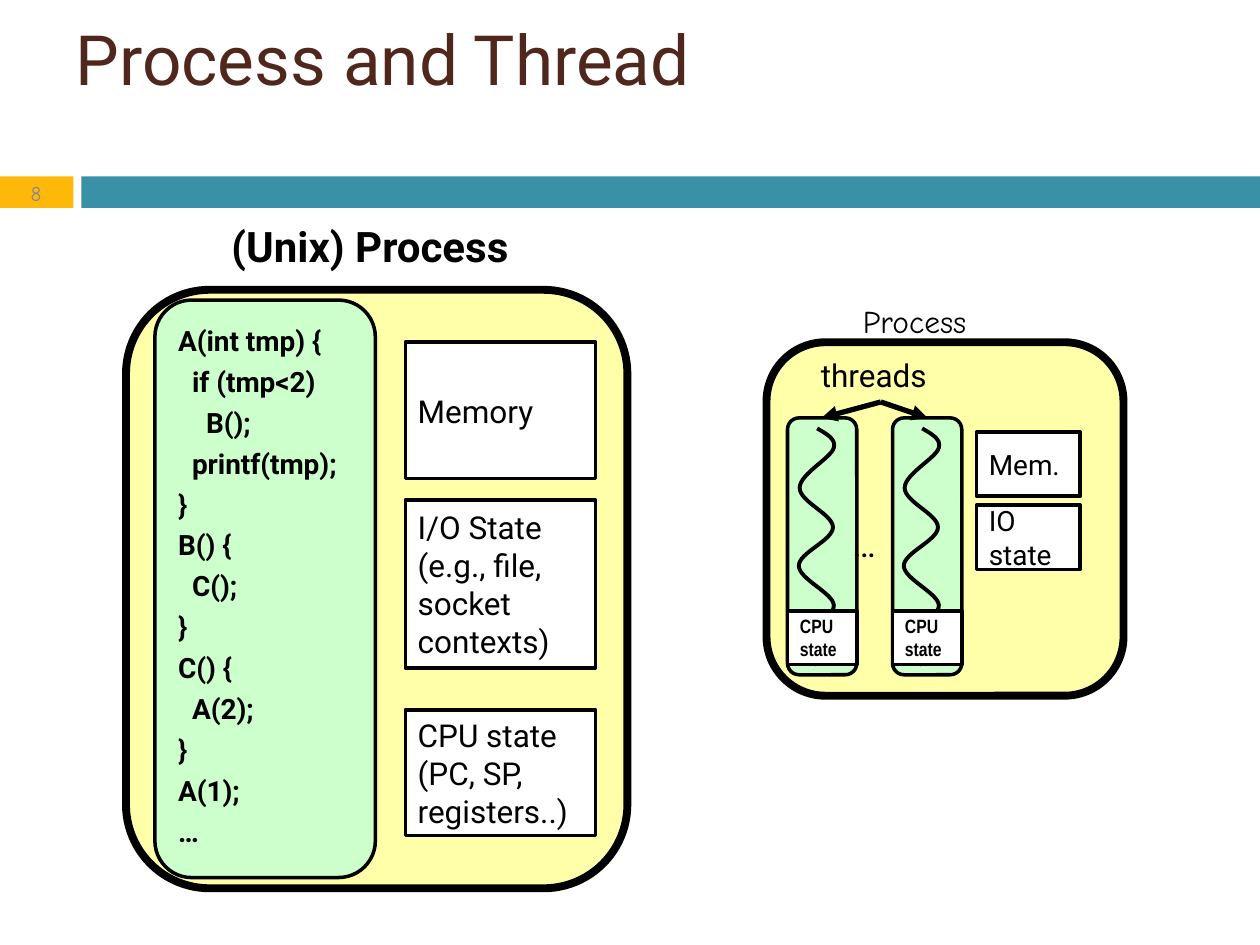
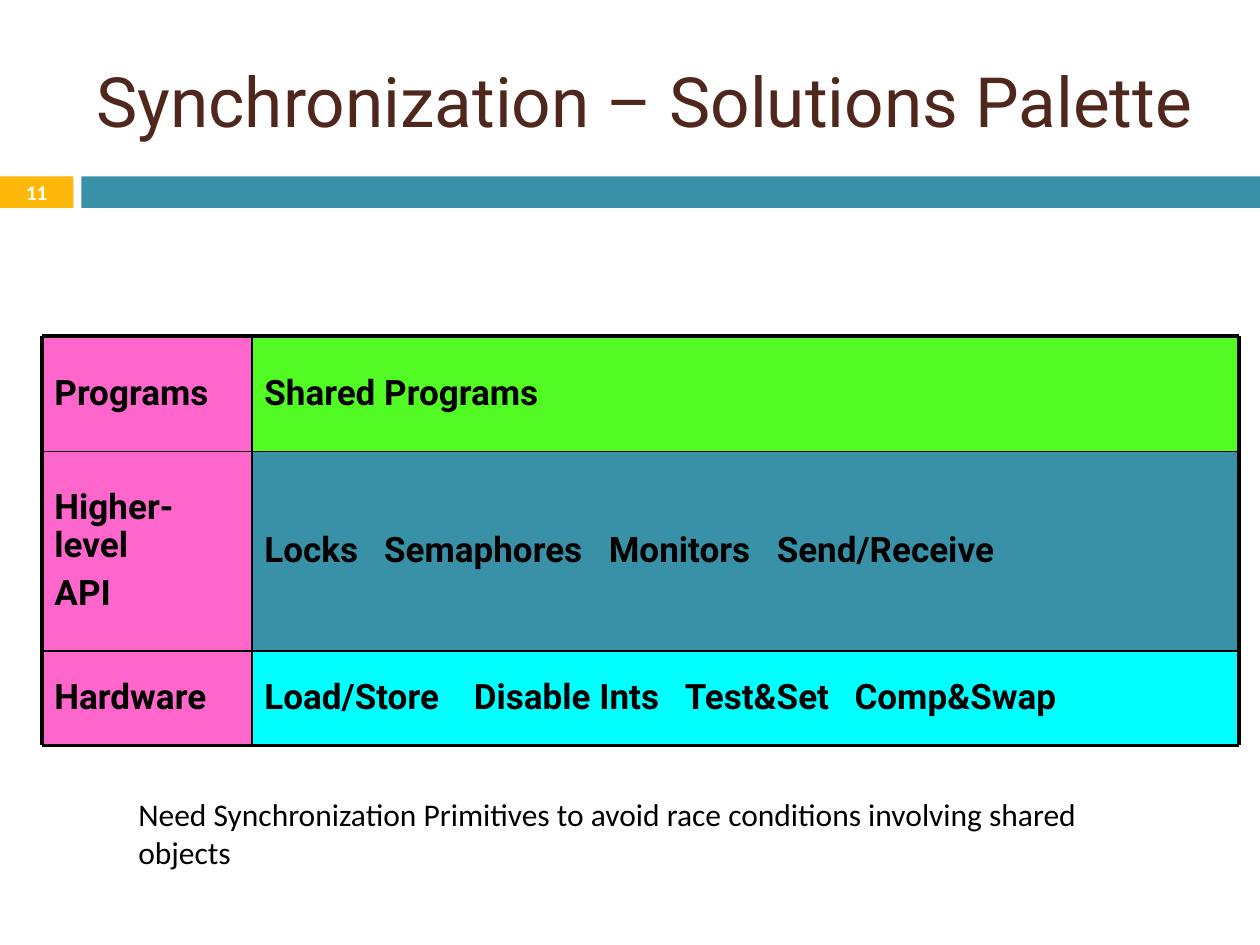
"""Build two slides on processes, threads and synchronization."""
import itertools

import pptx
import pptx.dml.color
import pptx.enum.shapes
import pptx.enum.text
import pptx.oxml.ns
import pptx.util

Pt = pptx.util.Pt
qn = pptx.oxml.ns.qn
SHAPE = pptx.enum.shapes.MSO_SHAPE
ALIGN = pptx.enum.text.PP_ALIGN
ANCHOR = pptx.enum.text.MSO_ANCHOR

COLORS = {
    "title": "4F271C", "number_band": "FEB80A", "title_band": "3891A7",
    "process": "FFFFAA", "thread": "CCFFCC", "white": "FFFFFF",
    "black": "000000", "page_number": "898989", "layer": "FF66CC",
    "programs": "53FB25", "api": "3891A7", "hardware": "00FFFF",
}
CODE = [
    (0, "A(int tmp) {"), (1, "if (tmp<2)"), (2, "B();"),
    (1, "printf(tmp);"), (0, "}"), (0, "B() {"), (1, "C();"), (0, "}"),
    (0, "C() {"), (1, "A(2);"), (0, "}"), (0, "A(1);"), (0, "…"),
]
CODE_INDENT = 8
RESOURCES = [
    (195.6, 78, ["Memory"]),
    (285.6, 96, ["I/O State", "(e.g., file, socket contexts)"]),
    (405.6, 72, ["CPU state (PC, SP, registers..)"]),
]
THREAD_TOP = 238.8
THREAD_LEFTS = (450, 510)
SQUIGGLE_START = (17, 6)
SQUIGGLE_CURVES = [
    ((22, 9), (28, 12), (26.5, 17)),
    ((25, 23), (7, 32), (7, 40)),
    ((7, 48), (26, 55), (26, 62.5)),
    ((26, 70), (6.5, 77), (6.5, 84.5)),
    ((6.5, 92), (26, 100), (26.5, 107)),
    ((26.5, 115), (9.5, 124), (8, 130)),
    ((6, 135), (16.5, 141), (16.5, 141)),
]
TABLE_LEFT, TABLE_SPLIT, TABLE_RIGHT = 24, 144, 708
TABLE_TOP = 192
LAYERS = [
    (66, ["Programs"], "programs", ["Shared Programs"], ()),
    (114, ["Higher-level", "API"], "api",
     ["Locks", "Semaphores", "Monitors", "Send/Receive"],
     (68.4, 196.8, 292.8)),
    (54, ["Hardware"], "hardware",
     ["Load/Store", "Disable Ints", "Test&Set", "Comp&Swap"],
     (119.7, 240.2, 337.2)),
]


def rgb(name):
    """Return the named colour."""
    return pptx.dml.color.RGBColor.from_string(COLORS[name])


def write_text(frame, lines, size=18, font="Roboto", color="black", bold=False,
               align=ALIGN.LEFT, anchor=ANCHOR.MIDDLE, spacing=None,
               before=0, indents=(), tabs=()):
    """Fill a text frame with one formatted paragraph per line."""
    frame.word_wrap = True
    frame.vertical_anchor = anchor
    for index, line in enumerate(lines):
        paragraph = frame.paragraphs[0] if index == 0 else frame.add_paragraph()
        paragraph.alignment = align
        paragraph.space_before = Pt(before)
        if spacing:
            paragraph.line_spacing = spacing
        run = paragraph.add_run()
        run.text = line
        run.font.size = Pt(size)
        run.font.name = font
        run.font.bold = bold
        run.font.color.rgb = rgb(color)
        properties = paragraph._p.get_or_add_pPr()
        if indents:
            properties.set("marL", str(Pt(indents[index])))
        if tabs:
            tab_list = properties.makeelement(qn("a:tabLst"), {})
            properties.append(tab_list)
            for position in tabs:
                tab_list.append(tab_list.makeelement(
                    qn("a:tab"), {"pos": str(Pt(position)), "algn": "l"}))


def add_label(slide, box, text, **text_format):
    """Add a text box without fill."""
    label = slide.shapes.add_textbox(*map(Pt, box))
    write_text(label.text_frame, [text], **text_format)


def add_panel(slide, box, fill, lines=(), kind=SHAPE.RECTANGLE, border=2,
              **text_format):
    """Add a filled shape with optional border and text."""
    panel = slide.shapes.add_shape(kind, *map(Pt, box))
    panel.shadow.inherit = False
    panel.fill.solid()
    panel.fill.fore_color.rgb = rgb(fill)
    if border:
        panel.line.color.rgb = rgb("black")
        panel.line.width = Pt(border)
    else:
        panel.line.fill.background()
    if kind == SHAPE.ROUNDED_RECTANGLE:
        panel.adjustments[0] = 0.167
    write_text(panel.text_frame, lines, **text_format)


def add_line(slide, start, end, width, arrow=False):
    """Add a black straight connector, with an arrowhead if wanted."""
    line = slide.shapes.add_connector(
        pptx.enum.shapes.MSO_CONNECTOR.STRAIGHT, *map(Pt, start + end))
    line.line.color.rgb = rgb("black")
    line.line.width = Pt(width)
    properties = line._element.spPr
    if arrow:
        stroke = properties.find(qn("a:ln"))
        stroke.append(stroke.makeelement(qn("a:tailEnd"), {"type": "triangle"}))
    properties.append(properties.makeelement(qn("a:effectLst"), {}))


def add_squiggle(slide, left, top):
    """Add a wavy outline made of cubic curves."""
    def place(point):
        return Pt(left + point[0]), Pt(top + point[1])

    builder = slide.shapes.build_freeform(*place(SQUIGGLE_START))
    builder.add_line_segments(
        [place(curve[-1]) for curve in SQUIGGLE_CURVES], close=False)
    squiggle = builder.convert_to_shape()
    squiggle.shadow.inherit = False
    squiggle.fill.background()
    squiggle.line.color.rgb = rgb("black")
    squiggle.line.width = Pt(2.25)
    segments = list(squiggle._element.iter(qn("a:lnTo")))
    for segment, curve in zip(segments, SQUIGGLE_CURVES):
        bezier = segment.makeelement(qn("a:cubicBezTo"), {})
        for x, y in map(place, curve):
            bezier.append(bezier.makeelement(
                qn("a:pt"),
                {"x": str(x - squiggle.left), "y": str(y - squiggle.top)}))
        segment.getparent().replace(segment, bezier)


def add_titled_slide(deck, title_text, title_box):
    """Add a slide with the shared bands and title style."""
    slide = deck.slides.add_slide(deck.slide_layouts[5])
    add_panel(slide, (0, 100.8, 42, 18), "number_band", border=0)
    add_panel(slide, (46.5, 100.8, 673.5, 18), "title_band", border=0)
    title = slide.shapes.title
    title.left, title.top, title.width, title.height = map(Pt, title_box)
    title.text_frame.auto_size = pptx.enum.text.MSO_AUTO_SIZE.NONE
    write_text(title.text_frame, [title_text], size=39.6, color="title")
    return slide


def add_layers(slide):
    """Add the coloured layers and the rules between them."""
    heights = [layer[0] for layer in LAYERS]
    edges = list(itertools.accumulate(heights, initial=TABLE_TOP))
    for top, (height, names, fill, tools, tabs) in zip(edges, LAYERS):
        cells = (
            (TABLE_SPLIT, TABLE_RIGHT, fill, ["\t".join(tools)], tabs),
            (TABLE_LEFT, TABLE_SPLIT, "layer", names, ()),
        )
        for left, right, color, lines, stops in cells:
            add_panel(slide, (left, top, right - left, height), color, lines,
                      border=0, size=20, bold=True, spacing=0.9, before=6,
                      tabs=stops)
    for y in edges:
        add_line(slide, (TABLE_LEFT, y), (TABLE_RIGHT, y),
                 2.25 if y in (edges[0], edges[-1]) else 1)
    for x in (TABLE_LEFT, TABLE_SPLIT, TABLE_RIGHT):
        add_line(slide, (x, edges[0]), (x, edges[-1]),
                 1 if x == TABLE_SPLIT else 2.25)


def build_process_slide(deck):
    """Build the slide that compares a process and its threads."""
    slide = add_titled_slide(deck, "Process and Thread", (36, 12, 672, 42))
    add_panel(slide, (72, 165.6, 286.5, 342), "process",
              kind=SHAPE.ROUNDED_RECTANGLE, border=4.5)
    for top, height, lines in RESOURCES:
        add_panel(slide, (231.6, top, 108.7, height), "white", lines)
    add_panel(slide, (88.5, 171.5, 126, 330), "thread",
              [text for _, text in CODE], kind=SHAPE.ROUNDED_RECTANGLE,
              size=16, bold=True, spacing=0.8, before=8,
              indents=[level * CODE_INDENT for level, _ in CODE])
    add_label(slide, (125.2, 122.4, 184.3, 36.5), "(Unix) Process", size=24,
              bold=True, anchor=ANCHOR.TOP)
    add_label(slide, (5.8, 95.8, 25, 29), "8", size=12, font="Comic Neue",
              color="page_number", align=ALIGN.RIGHT)

    add_panel(slide, (438, 195.6, 204, 202), "process",
              kind=SHAPE.ROUNDED_RECTANGLE, border=4.5)
    for top, lines in ((288.7, ["IO", "state"]), (246.8, ["Mem."])):
        add_panel(slide, (558, top, 59.3, 36.8), "white", lines, size=16)
    for left in THREAD_LEFTS:
        add_panel(slide, (left, THREAD_TOP, 39.6, 146.8), "thread",
                  kind=SHAPE.ROUNDED_RECTANGLE)
        add_squiggle(slide, left, THREAD_TOP)
    add_label(slide, (480, 295, 38, 32.5), "…", size=20, anchor=ANCHOR.TOP)
    add_label(slide, (462, 200, 82, 29.5), "threads", anchor=ANCHOR.TOP)
    for tip in (469.5, 530):
        add_line(slide, (503.3, 229.7), (tip, THREAD_TOP), 3, arrow=True)
    for left in THREAD_LEFTS:
        add_panel(slide, (left, 349, 39.6, 30.8), "white", ["CPU", "state"],
                  size=11, font="Arial Narrow", bold=True)
    add_label(slide, (486, 169.2, 83.5, 29.5), "Process",
              font="Comic Neue", anchor=ANCHOR.TOP)


def build_synchronization_slide(deck):
    """Build the slide of synchronization layers."""
    slide = add_titled_slide(deck, "Synchronization – Solutions Palette",
                             (48, 18, 666, 78))
    add_layers(slide)
    add_label(slide, (0, 100, 42, 19.5), "11", size=11.9, font="Calibri",
              color="white", bold=True, align=ALIGN.CENTER)
    add_label(slide, (72, 450.7, 598, 29), "Need Synchronization Primitives to "
              "avoid race conditions involving shared objects",
              font="Calibri", anchor=ANCHOR.TOP)


def main():
    """Create and save the presentation."""
    deck = pptx.Presentation()
    deck.slide_width, deck.slide_height = Pt(720), Pt(540)
    build_process_slide(deck)
    build_synchronization_slide(deck)
    deck.save("out.pptx")


if __name__ == "__main__":
    main()
